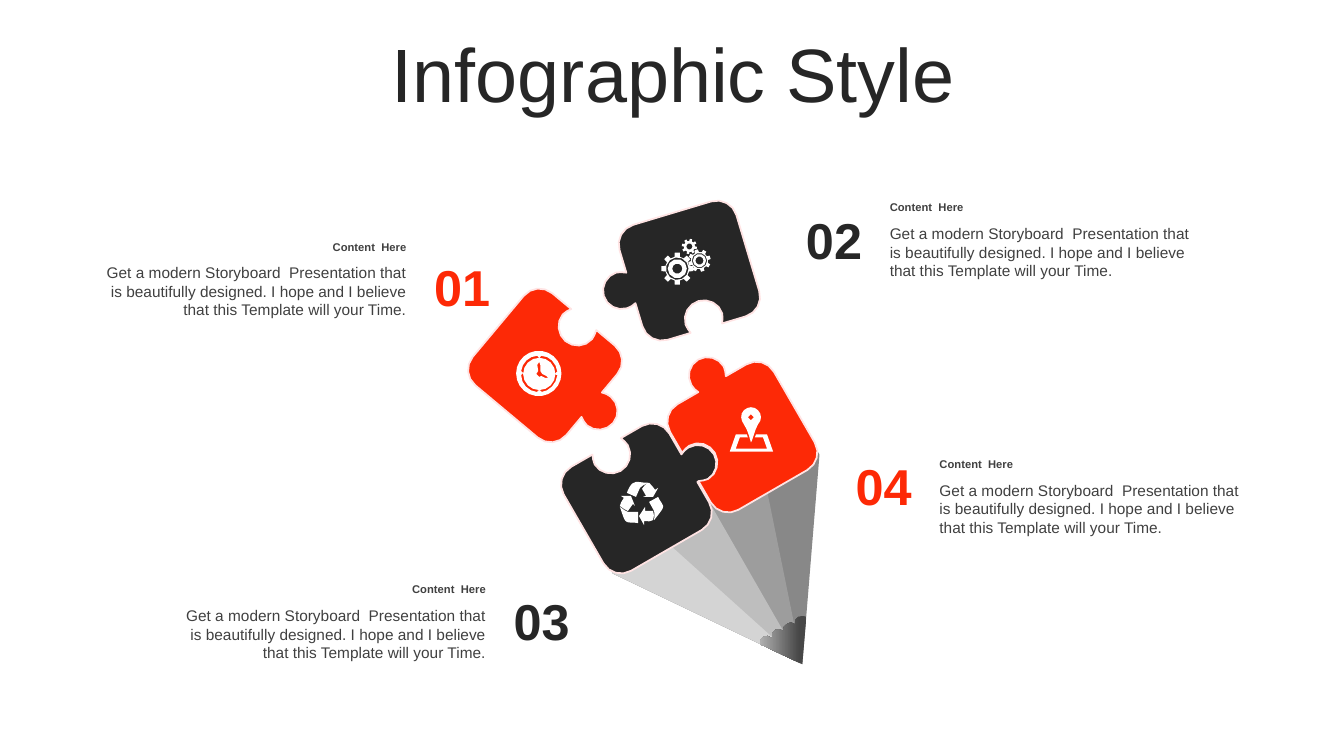
from dataclasses import dataclass
from math import cos, dist, radians, sin

from pptx import Presentation
from pptx.dml.color import RGBColor
from pptx.enum.text import MSO_ANCHOR, PP_ALIGN
from pptx.util import Pt

LEFT, CENTER, RIGHT = PP_ALIGN.LEFT, PP_ALIGN.CENTER, PP_ALIGN.RIGHT
TOP, MIDDLE = MSO_ANCHOR.TOP, MSO_ANCHOR.MIDDLE


@dataclass(frozen=True)
class Theme:
    """Colours, font and type sizes of the slide."""
    dark: RGBColor = RGBColor.from_string("262626")
    red: RGBColor = RGBColor.from_string("FD2906")
    text: RGBColor = RGBColor.from_string("404040")
    white: RGBColor = RGBColor.from_string("FFFFFF")
    edge: RGBColor = RGBColor.from_string("FFE3E3")
    lead: RGBColor = RGBColor.from_string("474747")
    ash: RGBColor = RGBColor.from_string("B0B0B0")
    greys: tuple = tuple(map(RGBColor.from_string, ("888888", "9D9D9D", "BEBEBE", "D4D4D4")))
    font: str = "Arial"
    title: int = 54
    number: int = 36
    body: int = 11
    head: int = 8


THEME = Theme()
VIEW = (465, 200, 350)
BODY = ("Get a modern Storyboard  Presentation that is beautifully designed. "
        "I hope and I believe that this Template will your Time.")

BANDS = ("796 422 813 451", "746 451 758 472", "694 482 706 502", "642 512 655 532")
TIP = """M 757 632 C 760 630 763 631 765 633 L 766 632 C 765 630 766 627 769 625
772 624 775 624 777 626 C 777 623 778 620 781 619 783 617 787 617 788 619 L 789 619
C 788 616 790 613 792 612 795 610 798 611 800 612 L 796 659 754 639
C 753 636 755 634 757 632"""
PIECE = """M -39.5 -74.5 L 39.5 -74.5 C 50.5 -74.5 59.5 -65.5 59.5 -54.5 L 59.5 -30
C 57 -31.5 53 -32.5 50 -33 40 -33 31.5 -24 31.5 -14 31.5 -4 39.5 5 50 5
53 5 56.5 3.5 59.5 2.5 L 59.5 26.5 C 59.5 37.5 50.5 46.5 39.5 46.5 L 15.5 46.5
C 17 49.5 18 52.5 18 56 18 66 10 74.5 -0.5 74.5 -10.5 74.5 -19 66 -19 56
-18.5 52.5 -17.5 49.5 -16 46.5 L -39.5 46.5 C -50.5 46.5 -59.5 37.5 -59.5 26.5
L -59.5 -54.5 C -59.5 -65.5 -50.5 -74.5 -39.5 -74.5"""
PIN = """M 730 431 L 741 431 742 434 734 434 730 445 761 445 757 434 749 434
750 431 761 431 767 448 724 448
M 745 411 C 744 411 742 413 742 414 742 416 744 417 745 417 747 417 748 416 748 414
748 413 747 411 745 411 M 745 404 C 748 404 750 405 752 407 756 411 756 417 752 421
749 426 746 439 745 439 745 439 742 426 738 421 735 417 734 411 738 407
740 405 743 404 745 404"""
CYCLE = """M 640 503 L 640 507 648 507 C 649 510 649 513 648 516 647 518 642 517 639 517
L 639 521 634 512 M 615 503 C 619 506 621 507 623 508 L 633 508 633 519
C 629 518 625 519 622 518 619 516 619 514 615 503
M 653 493 C 654 496 657 499 658 502 658 505 656 507 649 516 650 511 649 509 649 507
L 644 498 M 616 492 L 626 492 630 502 628 500 623 507
C 620 506 618 504 615 502 614 500 618 497 619 494
M 644 479 C 646 480 648 484 650 486 L 653 484 648 493 638 493 641 492 637 485
C 638 482 641 481 643 479 M 631 478 C 634 478 637 479 643 479 639 481 637 482 635 484
L 631 493 622 489 C 623 486 625 482 627 480 628 479 629 478 631 478"""
CLOCK = """M 535 359 L 533 362 534 368 C 533 369 532 370 532 371 532 372 533 374 535 374
536 374 536 373 537 373 L 541 375 544 375 542 373 538 371 536 368 536 362
M 533 353 C 525 353 518 360 517 368 518 368 519 369 519 370 519 371 518 372 517 372
517 381 524 388 533 389 L 533 388 C 533 387 534 387 535 387 536 387 537 387 537 388
L 537 389 C 545 388 552 381 553 372 L 552 372 C 551 372 551 371 551 371
551 370 551 369 552 369 L 553 369 C 552 360 545 353 537 353
537 354 536 355 535 355 534 355 533 354 533 353"""


def curve(start, one, two, end):
    """Return the points of a cubic curve after its start, more for a longer one."""
    steps = max(1, min(4, round(dist(start, end) / 4)))
    spots = []
    for step in range(1, steps + 1):
        t = step / steps
        parts = ((1 - t) ** 3, 3 * t * (1 - t) ** 2, 3 * t * t * (1 - t), t ** 3)
        spots.append(tuple(sum(p * spot[axis] for p, spot in zip(parts, (start, one, two, end)))
                           for axis in (0, 1)))
    return spots


def outline(path, x=0, y=0):
    """Turn a path of M, L and C commands into loops of points."""
    runs = []
    for word in path.split():
        if word.isalpha():
            runs.append((word, []))
        else:
            runs[-1][1].append(float(word))
    loops = []
    for kind, nums in runs:
        spots = [(a + x, b + y) for a, b in zip(nums[::2], nums[1::2])]
        if kind == "M":
            loops.append(spots)
        elif kind == "L":
            loops[-1].extend(spots)
        else:
            for i in range(0, len(spots), 3):
                loops[-1].extend(curve(loops[-1][-1], *spots[i:i + 3]))
    return loops


def polar(x, y, size, angle):
    """Return the point at a distance and angle from a centre."""
    return x + size * cos(radians(angle)), y + size * sin(radians(angle))


def ring(x, y, size):
    """Return a round loop."""
    count = max(10, round(size))
    return [polar(x, y, size, 360 * i / count) for i in range(count)]


def gear(x, y, tip, root, phase, holes):
    """Return the loops of a gear with eight teeth and round holes."""
    teeth = [polar(x, y, size, phase + 45 * tooth + turn) for tooth in range(8)
             for size, turn in ((root, -13), (tip, -9), (tip, 9), (root, 13))]
    return [teeth] + [ring(x, y, hole) for hole in holes]


def trace(slide, box, loops, color=None):
    """Draw loops of the view as one filled shape inside the box."""
    left, top, width = box[:3]
    unit = width / VIEW[2]
    loops = [[(Pt(left + (x - VIEW[0]) * unit), Pt(top + (y - VIEW[1]) * unit))
              for x, y in loop] for loop in loops]
    pen = slide.shapes.build_freeform(*loops[0][0])
    for i, loop in enumerate(loops):
        if i:
            pen.move_to(*loop[0])
        pen.add_line_segments(loop[1:], close=True)
    shape = pen.convert_to_shape()
    shape.shadow.inherit = False
    shape.line.fill.background()
    if color is not None:
        shape.fill.solid()
        shape.fill.fore_color.rgb = color
    return shape


def pencil(slide, box):
    """Draw the pencil point, the puzzle pieces and their icons."""
    for band, grey in zip(BANDS, THEME.greys):
        trace(slide, box, outline(f"M 592 540 L {band} 796 659 608 569"), grey)
    fill = trace(slide, box, outline(TIP)).fill
    fill.gradient()
    fill.gradient_angle = 180
    for stop, place, color in zip(fill.gradient_stops, (0.15, 1), (THEME.lead, THEME.ash)):
        stop.position = place
        stop.color.rgb = color
    for x, y, turn, color in ((643.5, 487.5, 240, THEME.dark), (670.5, 272.5, 73.3, THEME.dark),
                              (729.5, 421.5, 150, THEME.red), (551.5, 371.5, 309.9, THEME.red)):
        piece = trace(slide, box, outline(PIECE, x, y), color)
        piece.rotation = turn
        piece.line.color.rgb = THEME.edge
        piece.line.width = Pt(1.25)
    gears = (gear(672, 266.5, 16, 12, -90, (11.2, 9.5, 5))
             + gear(694, 258.5, 11.2, 8.5, -107, (7.6, 6.5, 4))
             + gear(684, 244.5, 7.6, 5.5, -78, (3,)))
    clock = [ring(534.5, 370.5, 22.5), ring(535, 371, 16)] + outline(CLOCK)
    for loops in (gears, outline(PIN), outline(CYCLE), clock):
        trace(slide, box, loops, THEME.white)


def label(slide, box, text, size, color, align=LEFT, bold=False, anchor=MIDDLE):
    """Write one paragraph in a box and return it."""
    frame = slide.shapes.add_textbox(*map(Pt, box)).text_frame
    frame.word_wrap = True
    frame.vertical_anchor = anchor
    para = frame.paragraphs[0]
    para.text = text
    para.alignment = align
    font = para.font
    font.name, font.size, font.bold = THEME.font, Pt(size), bold
    font.color.rgb = color
    return para


def note(slide, box, number, color, drop, align):
    """Write a number beside its heading and text."""
    left, top, width, height = box
    side, head = 65.5, 17
    first = align == LEFT
    text = left + side if first else left
    spot = left if first else left + width - side
    label(slide, (spot, top + drop, side, 51), number, THEME.number, color, CENTER, True)
    label(slide, (text, top, width - side, head), "Content  Here", THEME.head,
          THEME.text, align, True)
    label(slide, (text, top + head, width - side, height - head), BODY, THEME.body,
          THEME.text, align, anchor=TOP)


def main():
    """Build the slide and save it."""
    deck = Presentation()
    deck.slide_width, deck.slide_height = Pt(960), Pt(540)
    slide = deck.slides.add_slide(deck.slide_layouts[6])
    title = label(slide, (25, 27, 912, 57), "Infographic Style", THEME.title, THEME.dark, CENTER)
    title.line_spacing = 0.9
    pencil(slide, (334.8, 144, 252, 331.2))
    note(slide, (63.4, 167.6, 299.5, 64.5), "01", THEME.red, 11.5, RIGHT)
    note(slide, (563, 139.7, 297.5, 64.5), "02", THEME.dark, 5.8, LEFT)
    note(slide, (120.2, 412.5, 299.5, 64.5), "03", THEME.dark, 5, RIGHT)
    note(slide, (598.5, 323, 297.5, 64.5), "04", THEME.red, -2, LEFT)
    deck.save("out.pptx")


if __name__ == "__main__":
    main()
